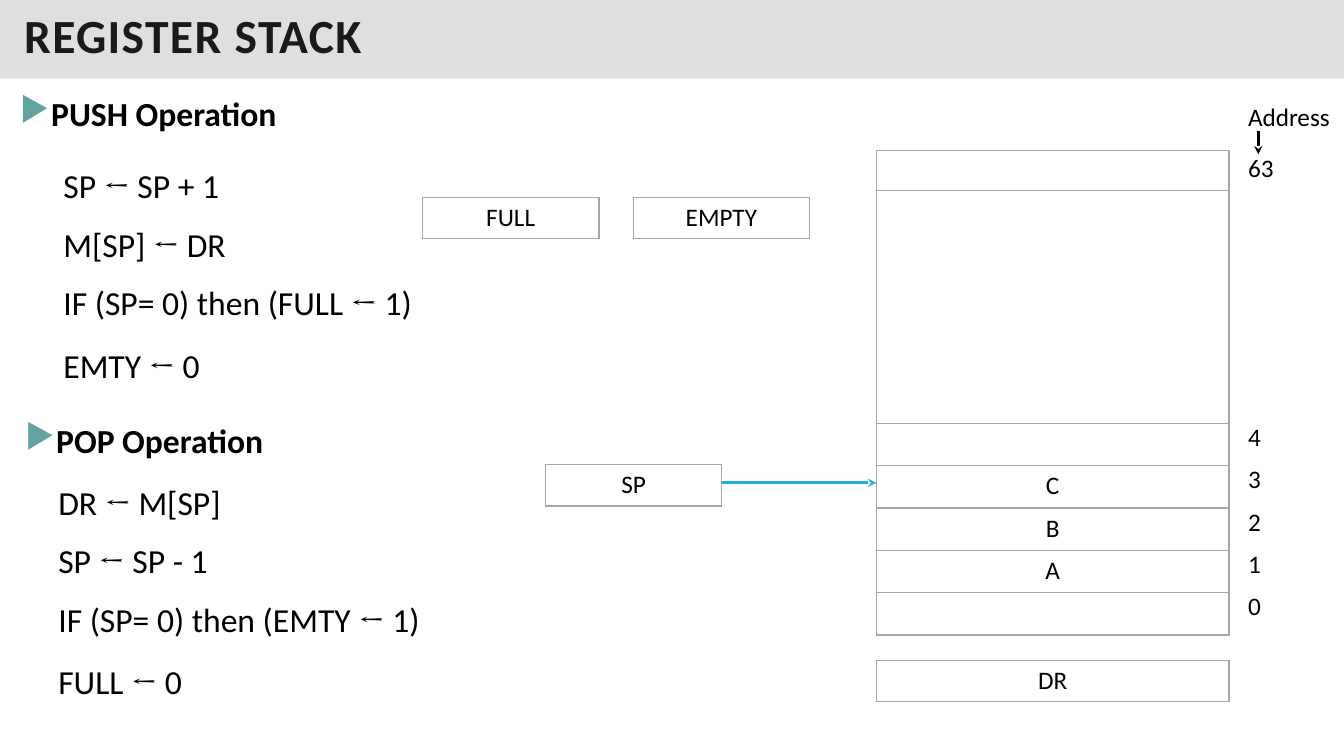
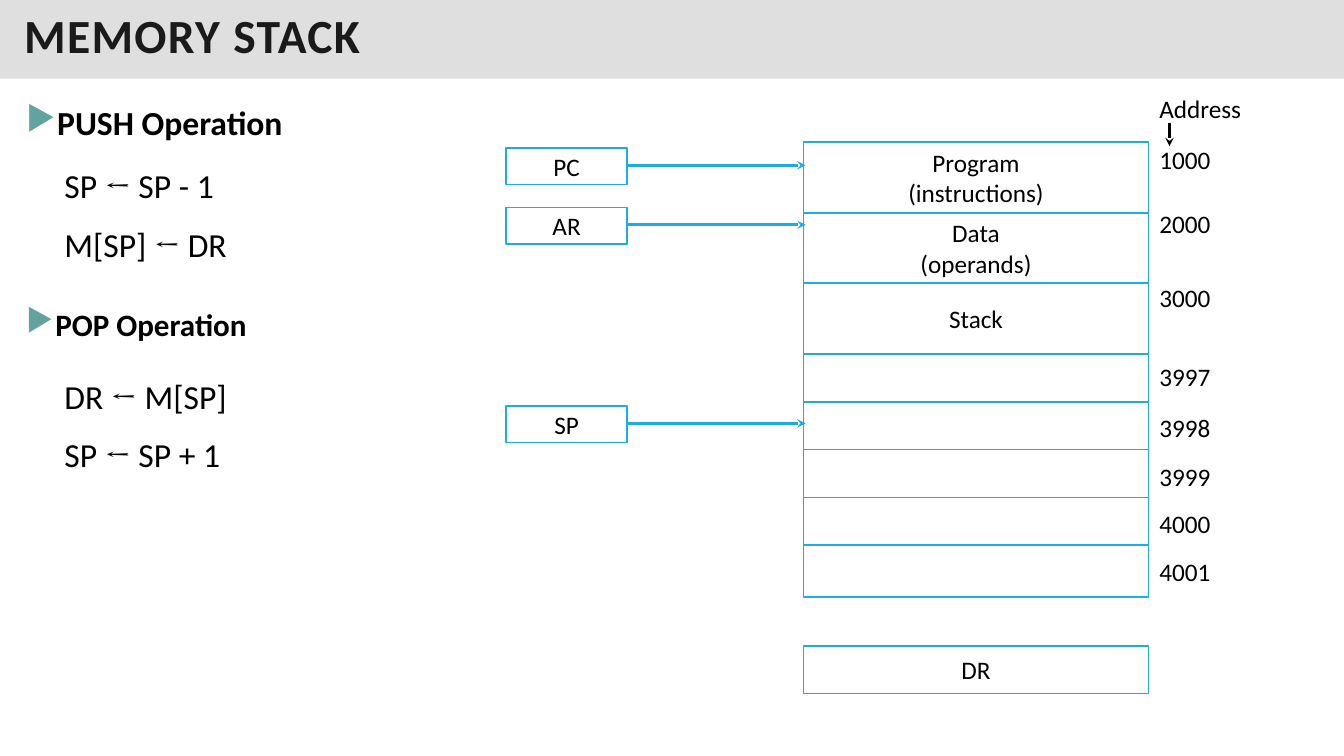
import pptx
import pptx.util
import pptx.dml.color
import pptx.enum.shapes
import pptx.enum.text
import pptx.oxml
import pptx.oxml.ns
from lxml import etree

Inches = pptx.util.Inches
Pt = pptx.util.Pt
Align = pptx.enum.text.PP_ALIGN
Anchor = pptx.enum.text.MSO_ANCHOR

# Shared look
BAND, TITLE, TEXT = "C0C0C0", "1A1A1A", "000000"
BULLET, ACCENT, GRID = "62A39F", "1CADE4", "A6A6A6"
BODY_FONT, ARROW_FONT = "Calibri", "Cambria"
STATEMENT_OFFSETS = (0, 0.58, 1.16, 1.78)


def colour(value):
    return pptx.dml.color.RGBColor.from_string(value)


def add_xml(parent, tag, **attributes):
    child = etree.SubElement(parent, pptx.oxml.ns.qn(tag))
    for name, value in attributes.items():
        child.set(name, value)
    return child


def style_span(span, size=18, font=BODY_FONT, bold=False, tint=TEXT):
    span.font.size = Pt(size)
    span.font.name = font
    span.font.bold = bold
    span.font.color.rgb = colour(tint)


def style_frame(frame, align, **look):
    for para in frame.paragraphs:
        para.alignment = align
        for span in para.runs:
            style_span(span, **look)


def text_box(slide, left, top, width, height):
    frame = slide.shapes.add_textbox(
        Inches(left), Inches(top), Inches(width), Inches(height)).text_frame
    frame.word_wrap = True
    return frame


def rectangle(slide, left, top, width, height):
    box = slide.shapes.add_shape(
        pptx.enum.shapes.MSO_SHAPE.RECTANGLE,
        Inches(left), Inches(top), Inches(width), Inches(height))
    box.shadow.inherit = False
    return box


def title_band(slide, title):
    band = rectangle(slide, 0, 0, 13.33, 0.78)
    band.fill.solid()
    band.fill.fore_color.rgb = colour(BAND)
    band.line.fill.background()
    tint = band.fill._xPr.find(".//" + pptx.oxml.ns.qn("a:srgbClr"))
    add_xml(tint, "a:alpha", val="50000")
    frame = band.text_frame
    frame.margin_left = frame.margin_right = Inches(0.24)
    frame.margin_top = frame.margin_bottom = Inches(0.12)
    frame.vertical_anchor = Anchor.MIDDLE
    frame.text = title
    style_frame(frame, Align.LEFT, size=34, bold=True, tint=TITLE)
    para = frame.paragraphs[0]
    para.line_spacing = 0.8
    para.runs[0].font._element.set("spc", "100")


def heading(slide, left, top, text, size=24):
    frame = text_box(slide, left, top, 2.96, 0.58)
    frame.text = text
    para = frame.paragraphs[0]
    indent = para._p.get_or_add_pPr()
    indent.set("marL", str(Inches(0.29)))
    indent.set("indent", str(-Inches(0.29)))
    add_xml(add_xml(indent, "a:buClr"), "a:srgbClr", val=BULLET)
    add_xml(indent, "a:buChar", char="▶")
    para.line_spacing = 0.9
    style_frame(frame, Align.JUSTIFY, size=size, bold=True)


def statements(slide, left, top, lines):
    for offset, line in zip(STATEMENT_OFFSETS, lines):
        frame = text_box(slide, left, top + offset, 4.08, 0.5)
        para = frame.paragraphs[0]
        para.alignment = Align.JUSTIFY
        target, value = line.split("← ")
        for text, font in ((target, BODY_FONT), ("← ", ARROW_FONT), (value, BODY_FONT)):
            span = para.add_run()
            span.text = text
            style_span(span, size=24, font=font)


def label(slide, left, top, text):
    frame = text_box(slide, left, top, 1.03, 0.4)
    frame.margin_right = 0
    frame.text = text
    style_frame(frame, Align.LEFT)


def arrow(slide, start, end, tint):
    line = slide.shapes.add_connector(
        pptx.enum.shapes.MSO_CONNECTOR.STRAIGHT, *map(Inches, start + end))
    line.line.width = Pt(2)
    line.line.color.rgb = colour(tint)
    add_xml(line.line._get_or_add_ln(), "a:tailEnd", type="stealth")
    add_xml(line._element.spPr, "a:effectLst")


def address_header(slide, left, top):
    label(slide, left, top, "Address")
    arrow(slide, (left + 0.2, top + 0.34), (left + 0.2, top + 0.57), TEXT)


def grid(slide, left, top, width, rows):
    """Single-column table; rows holds (height, text) pairs."""
    total = sum(height for height, text in rows)
    table = slide.shapes.add_table(
        len(rows), 1, Inches(left), Inches(top), Inches(width), Inches(total)).table
    table.first_row = table.horz_banding = False
    for index, (height, text) in enumerate(rows):
        table.rows[index].height = Inches(height)
        cell = table.cell(index, 0)
        cell.text = text
        style_frame(cell.text_frame, Align.CENTER)
        borders = cell._tc.get_or_add_tcPr()
        for side in ("a:lnL", "a:lnR", "a:lnT", "a:lnB"):
            edge = add_xml(borders, side, w=str(Pt(1)))
            add_xml(add_xml(edge, "a:solidFill"), "a:srgbClr", val=GRID)
        cell.fill.background()


def outlined_box(slide, left, top, width, height, text=""):
    box = rectangle(slide, left, top, width, height)
    box.fill.background()
    box.line.color.rgb = colour(ACCENT)
    box.line.width = Pt(1.25)
    frame = box.text_frame
    frame.vertical_anchor = Anchor.MIDDLE
    frame.text = text
    style_frame(frame, Align.CENTER)


def register_diagram(slide, left, top):
    """Register stack, its flags and pointer."""
    stack_left = left + 4.5
    grid(slide, stack_left, top, 3.5,
         [(0.4, ""), (2.31, "")] + [(0.42, text) for text in ("", "C", "B", "A", "")])
    grid(slide, stack_left, top + 5.06, 3.5, [(0.41, "DR")])
    for across, down, name in ((0, 0.47, "FULL"), (2.09, 0.47, "EMPTY"), (1.22, 3.12, "SP")):
        grid(slide, left + across, top + down, 1.75, [(0.41, name)])
    arrow(slide, (left + 2.97, top + 3.3), (stack_left, top + 3.3), ACCENT)

    # Addresses
    label_left = left + 8.09
    address_header(slide, label_left, top - 0.53)
    label(slide, label_left, top - 0.03, "63")
    for index, address in enumerate("43210"):
        label(slide, label_left, top + 2.64 + 0.42 * index, address)


def memory_diagram(slide, left, top):
    """Memory segments, stack words and the registers that point at them."""
    memory_left, width = left + 2.95, 3.42
    outlined_box(slide, memory_left, top, width, 4.51)
    segments = ("Program\n(instructions)", "Data\n(operands)", "Stack")
    cells = [(0.7, text) for text in segments] + [(0.475, "")] * 4
    cell_top = top
    for height, text in cells:
        outlined_box(slide, memory_left, cell_top, width, height, text)
        cell_top += height
    outlined_box(slide, memory_left, top + 5, width, 0.47, "DR")

    # Registers
    for down, name in ((0.06, "PC"), (0.65, "AR"), (2.62, "SP")):
        outlined_box(slide, left, top + down, 1.2, 0.36, name)
        level = top + down + 0.17
        arrow(slide, (left + 1.2, level), (memory_left + 0.02, level), ACCENT)

    # Addresses
    label_left = left + 6.38
    address_header(slide, label_left, top - 0.53)
    addresses = {"1000": -0.03, "2000": 0.61, "3000": 1.34, "3997": 2.13,
                 "3998": 2.63, "3999": 3.12, "4000": 3.58, "4001": 4.06}
    for address, down in addresses.items():
        label(slide, label_left, top + down, address)


def register_slide(slide):
    title_band(slide, "REGISTER STACK")
    heading(slide, 0.1, 0.92, "PUSH Operation")
    statements(slide, 0.53, 1.59, (
        "SP ← SP + 1", "M[SP] ← DR", "IF (SP= 0) then (FULL ← 1)", "EMTY ← 0"))
    heading(slide, 0.15, 4.16, "POP Operation")
    statements(slide, 0.48, 4.73, (
        "DR ← M[SP]", "SP ← SP - 1", "IF (SP= 0) then (EMTY ← 1)", "FULL ← 0"))
    register_diagram(slide, 4.19, 1.49)


def memory_slide(slide):
    title_band(slide, "MEMORY STACK")
    heading(slide, 0.16, 1.01, "PUSH Operation")
    statements(slide, 0.54, 1.59, ("SP ← SP - 1", "M[SP] ← DR"))
    heading(slide, 0.16, 3.02, "POP Operation", size=22.2)
    statements(slide, 0.54, 3.68, ("DR ← M[SP]", "SP ← SP + 1"))
    memory_diagram(slide, 5.02, 1.41)


def main():
    deck = pptx.Presentation()
    deck.slide_width, deck.slide_height = Inches(13.33), Inches(7.5)
    for build in (register_slide, memory_slide):
        build(deck.slides.add_slide(deck.slide_layouts[6]))
    deck.save("out.pptx")


if __name__ == "__main__":
    main()
